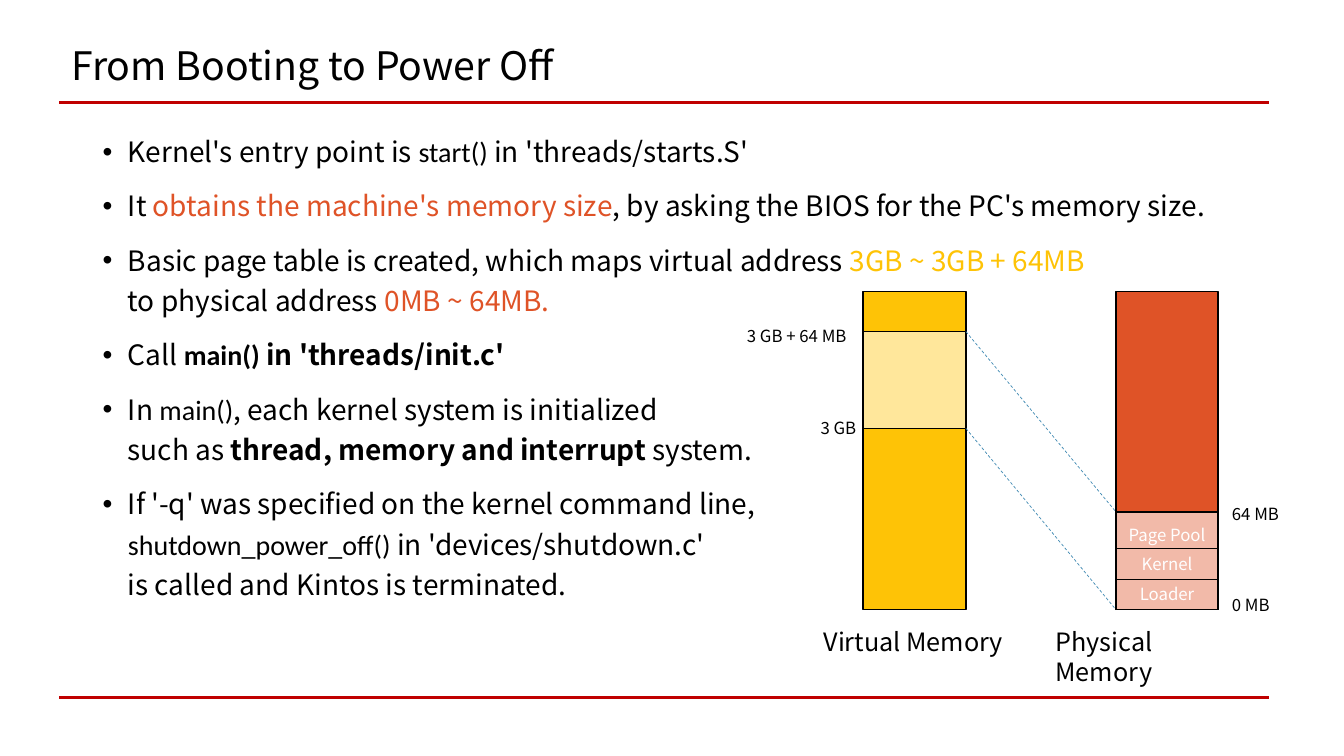
from lxml import etree
from pptx import Presentation
from pptx.dml.color import RGBColor
from pptx.enum.dml import MSO_LINE
from pptx.enum.shapes import MSO_CONNECTOR as CONNECTOR, MSO_SHAPE as SHAPE
from pptx.enum.text import MSO_ANCHOR as ANCHOR, PP_ALIGN as ALIGN
from pptx.oxml.ns import qn
from pptx.util import Inches, Pt

BLACK = RGBColor(0x00, 0x00, 0x00)
WHITE = RGBColor(0xFF, 0xFF, 0xFF)
RULE_RED = RGBColor(0xC0, 0x00, 0x00)
ORANGE = RGBColor(0xDF, 0x53, 0x27)
PALE_ORANGE = RGBColor(0xF2, 0xBA, 0xA9)
YELLOW = RGBColor(0xFE, 0xC3, 0x06)
PALE_YELLOW = RGBColor(0xFF, 0xE7, 0x9B)
BLUE = RGBColor(0x41, 0x8A, 0xB3)

SANS = "Noto Sans CJK KR"
CODE = "Calibri"

PLAIN = {}
IN_CODE = {"font": CODE}
BOLD = {"bold": True}
BOLD_CODE = {"font": CODE, "bold": True}
IN_ORANGE = {"color": ORANGE}
IN_YELLOW = {"color": YELLOW}

BULLETS = [
    [("Kernel's entry point is ", PLAIN), ("start()", IN_CODE),
     (" in 'threads/starts.S'", PLAIN)],
    [("It ", PLAIN), ("obtains the machine's memory size", IN_ORANGE),
     (", by asking the BIOS for the PC's memory size.", PLAIN)],
    [("Basic page table is created, which maps virtual address ", PLAIN),
     ("3GB ~ 3GB + 64MB \n", IN_YELLOW),
     ("to physical address ", PLAIN), ("0MB ~ 64MB.", IN_ORANGE)],
    [("Call ", PLAIN), ("main() ", BOLD_CODE), ("in 'threads/init.c'", BOLD)],
    [("In ", PLAIN), ("main()", IN_CODE),
     (", each kernel system is initialized \nsuch as ", PLAIN),
     ("thread, memory and interrupt", BOLD), (" system.", PLAIN)],
    [("If '-q' was specified on the kernel command line, \n", PLAIN),
     ("shutdown_power_off() ", IN_CODE),
     ("in 'devices/shutdown.c' \nis called and Kintos is terminated.", PLAIN)],
]


def add_run(paragraph, text, size, color=BLACK, font=SANS, bold=False):
    for index, part in enumerate(text.split("\n")):
        if index:
            paragraph.add_line_break()
        if part:
            run = paragraph.add_run()
            run.text = part
            run.font.size = Pt(size)
            run.font.name = font
            run.font.bold = bold
            run.font.color.rgb = color


def add_text_box(slide, left, top, width, height):
    box = slide.shapes.add_textbox(Inches(left), Inches(top), Inches(width), Inches(height))
    box.text_frame.word_wrap = True
    return box.text_frame


def add_label(slide, text, left, top, width, height=0.3, size=12):
    frame = add_text_box(slide, left, top, width, height)
    add_run(frame.paragraphs[0], text, size)


def add_line(slide, start, end, color, width, dash=None):
    line = slide.shapes.add_connector(
        CONNECTOR.STRAIGHT, *(Inches(value) for value in (*start, *end)))
    line.line.color.rgb = color
    line.line.width = Pt(width)
    if dash:
        line.line.dash_style = dash
    etree.SubElement(line._element.spPr, qn("a:effectLst"))


def add_block(slide, left, top, width, height, fill, text="", spacing=1.0):
    block = slide.shapes.add_shape(
        SHAPE.RECTANGLE, Inches(left), Inches(top), Inches(width), Inches(height))
    block.shadow.inherit = False
    block.fill.solid()
    block.fill.fore_color.rgb = fill
    block.line.color.rgb = BLACK
    block.line.width = Pt(1)
    if text:
        block.text_frame.vertical_anchor = ANCHOR.MIDDLE
        paragraph = block.text_frame.paragraphs[0]
        paragraph.alignment = ALIGN.CENTER
        paragraph.line_spacing = spacing
        add_run(paragraph, text, 12, WHITE)


def add_frame(slide, left, right, top, bottom):
    for y in (top, bottom):
        add_line(slide, (left, y), (right, y), RULE_RED, 2.25)


def add_title(slide, left, top, width, height):
    frame = add_text_box(slide, left, top, width, height)
    frame.vertical_anchor = ANCHOR.MIDDLE
    paragraph = frame.paragraphs[0]
    paragraph.line_spacing = 0.9
    add_run(paragraph, "From Booting to Power Off", 28)


def add_bullets(slide, left, top, width, height):
    frame = add_text_box(slide, left, top, width, height)
    for index, runs in enumerate(BULLETS):
        paragraph = frame.add_paragraph() if index else frame.paragraphs[0]
        paragraph.line_spacing = 1.2
        paragraph.space_before = Pt(10)
        properties = paragraph._p.get_or_add_pPr()
        properties.set("marL", str(Inches(0.25)))
        properties.set("indent", str(Inches(-0.25)))
        etree.SubElement(properties, qn("a:buFont")).set("typeface", "Arial")
        etree.SubElement(properties, qn("a:buChar")).set("char", "•")
        for text, style in runs:
            add_run(paragraph, text, 20, **style)


def add_virtual_memory(slide, left, top, width, height):
    add_block(slide, left, top, width, height, YELLOW)
    add_block(slide, left, top + 0.4, width, 0.96, PALE_YELLOW)
    add_label(slide, "3 GB + 64 MB", left - 1.25, top + 0.29, 1.3)
    add_label(slide, "3 GB", left - 0.52, top + 1.21, 0.57)
    add_label(slide, "Virtual Memory", left - 0.49, top + 3.27, 2, 0.4, 18)


def add_physical_memory(slide, left, top, width, height):
    add_block(slide, left, top, width, height, ORANGE)
    add_block(slide, left, top + 2.85, width, 0.31, PALE_ORANGE, "Loader")
    add_block(slide, left, top + 2.55, width, 0.31, PALE_ORANGE, "Kernel")
    add_block(slide, left, top + 2.19, width, 0.36, PALE_ORANGE, "Page Pool", 1.5)
    add_label(slide, "64 MB", left + 1.05, top + 2.06, 0.7)
    add_label(slide, "0 MB", left + 1.05, top + 2.96, 0.61)
    add_label(slide, "Physical Memory", left - 0.7, top + 3.27, 2.15, 0.4, 18)


def add_memory_map(slide, left, top, height):
    virtual_width, physical_left = 1.02, left + 2.51
    add_virtual_memory(slide, left, top, virtual_width, height)
    for virtual_offset, physical_offset in ((0.4, 2.19), (1.36, height)):
        add_line(slide, (left + virtual_width, top + virtual_offset),
                 (physical_left, top + physical_offset), BLUE, 0.5, MSO_LINE.DASH)
    add_physical_memory(slide, physical_left, top, 1.01, height)


def main():
    presentation = Presentation()
    presentation.slide_width = Inches(13.33)
    presentation.slide_height = Inches(7.5)
    slide = presentation.slides.add_slide(presentation.slide_layouts[6])
    add_frame(slide, 0.59, 12.59, 1.02, 6.92)
    add_title(slide, 0.61, 0.41, 11.5, 0.53)
    add_bullets(slide, 0.92, 1.22, 11.5, 0.53)
    add_memory_map(slide, 8.56, 2.89, 3.16)
    presentation.save("out.pptx")


if __name__ == "__main__":
    main()
